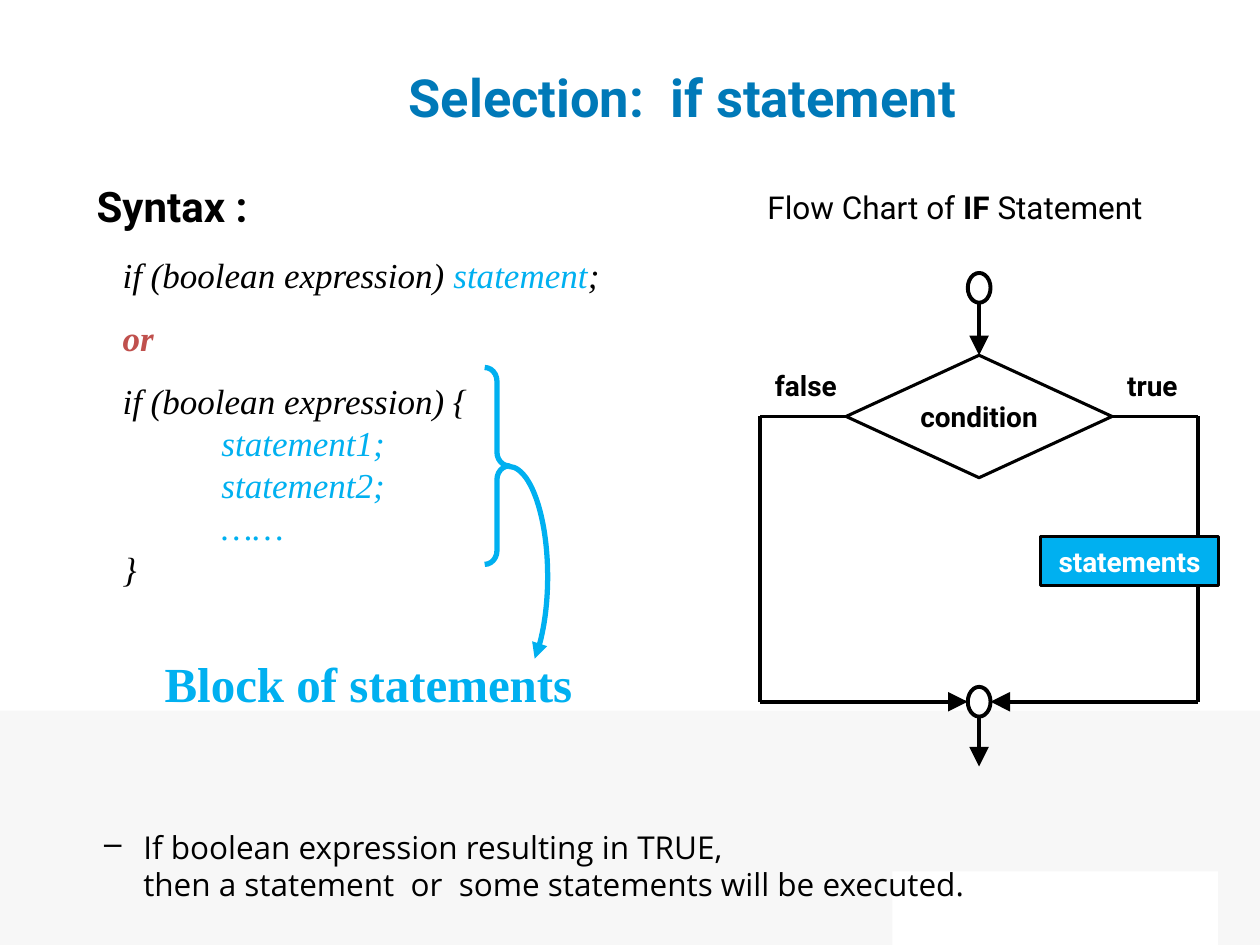
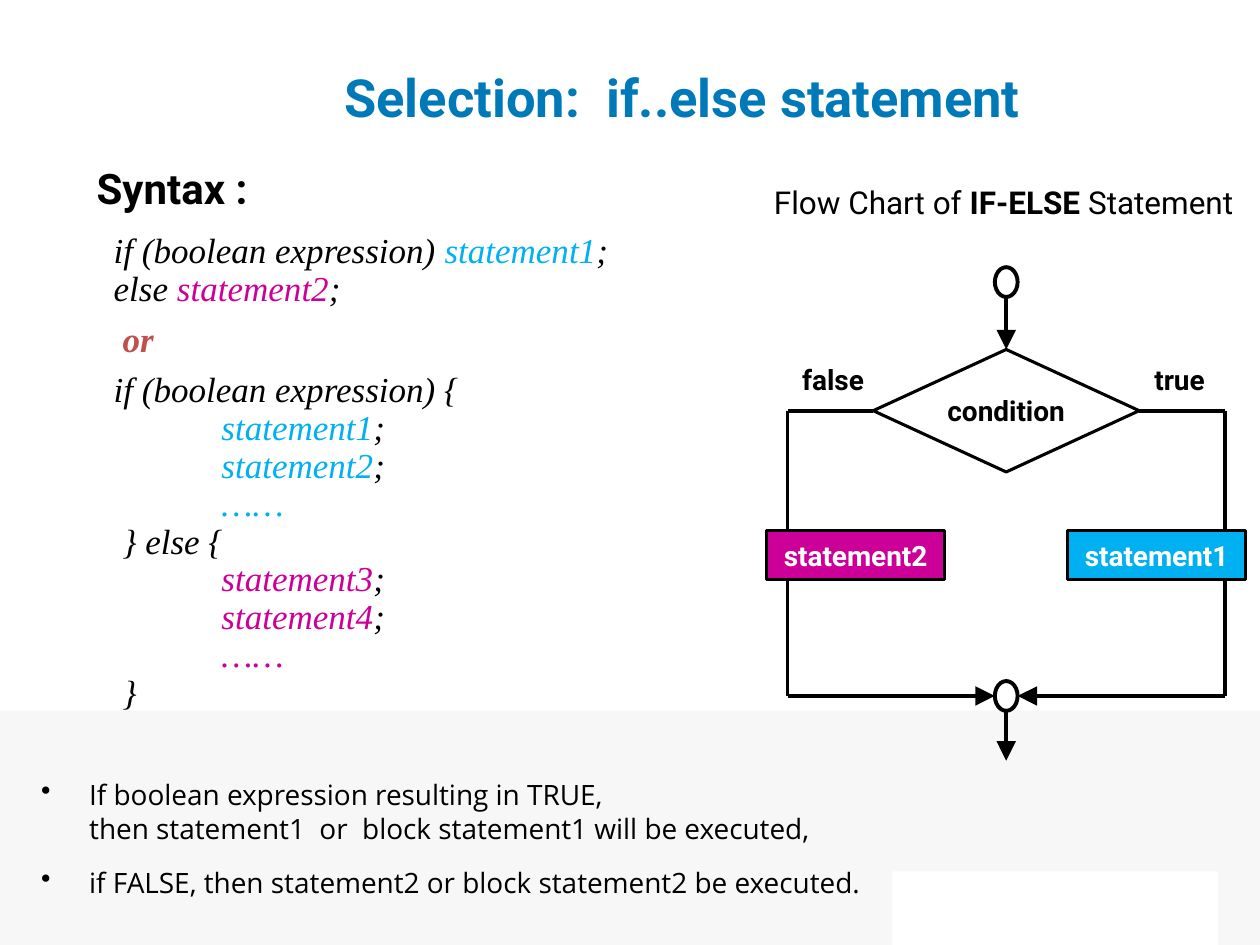
"""Builds two slides on the if and if..else statements."""
from dataclasses import dataclass

from lxml.etree import SubElement
from pptx import Presentation
from pptx.dml.color import RGBColor
from pptx.enum.shapes import MSO_CONNECTOR as Connector, MSO_SHAPE as Shape
from pptx.enum.text import MSO_ANCHOR as Anchor, PP_ALIGN as Align
from pptx.oxml.ns import qn
from pptx.util import Pt

BLACK, WHITE, TITLE_BLUE = "000000", "FFFFFF", "0079B8"
SKY, MAGENTA, RED, PALE_GREY = "00B0F0", "CC0099", "C0504D", "F7F7F7"
HEADING_FONT, CODE_FONT, NOTE_FONT = "Roboto", "Times New Roman", "Open Sans"
HEADING_MARGIN, FIRST_MARGIN, CODE_MARGIN, BLOCK_MARGIN = 31.7, 41.4, 46.5, 103


@dataclass(frozen=True)
class Span:
    text: str
    color: str = BLACK
    bold: bool = False


@dataclass(frozen=True)
class Line:
    spans: tuple[Span, ...]
    pitch: float
    before: float = 0
    margin: float = CODE_MARGIN
    font: str = CODE_FONT
    size: float = 20
    italic: bool = False
    indent: float = 0
    bullet: str = ""


@dataclass(frozen=True)
class Area:
    left: float
    top: float
    width: float
    height: float

    def lengths(self) -> tuple:
        return tuple(Pt(n) for n in (self.left, self.top, self.width, self.height))


@dataclass(frozen=True)
class Branch:
    label: str
    side: int
    statement: str = ""
    color: str = SKY


def rgb(color: str) -> RGBColor:
    return RGBColor.from_string(color)


def style_run(run, font: str, size: float, color: str, bold: bool = False, italic: bool = False) -> None:
    run.font.name, run.font.size = font, Pt(size)
    run.font.bold, run.font.italic = bold, italic
    run.font.color.rgb = rgb(color)


def add_spans(para, spans: tuple[Span, ...], font: str, size: float, italic: bool = False) -> None:
    for span in spans:
        for number, part in enumerate(span.text.split("\n")):
            if number:
                para.add_line_break()
            run = para.add_run()
            run.text = part
            style_run(run, font, size, span.color, span.bold, italic)


def add_text_box(slide, area: Area):
    box = slide.shapes.add_textbox(*area.lengths())
    box.text_frame.word_wrap = True
    return box.text_frame


def clear_insets(frame) -> None:
    frame.margin_left = frame.margin_right = frame.margin_top = frame.margin_bottom = 0


def add_preset(slide, kind, area: Area, fill: str = "", line: str = "", weight: float = 0):
    shape = slide.shapes.add_shape(kind, *area.lengths())
    shape.shadow.inherit = False
    if fill:
        shape.fill.solid()
        shape.fill.fore_color.rgb = rgb(fill)
    else:
        shape.fill.background()
    if line:
        shape.line.color.rgb = rgb(line)
        shape.line.width = Pt(weight)
    else:
        shape.line.fill.background()
    return shape


def add_arrowhead(shape, size: str) -> None:
    line = shape._element.spPr.find(qn("a:ln"))
    SubElement(line, qn("a:tailEnd"), type="triangle", w=size, len=size)


def add_path(slide, points: list[tuple[float, float]], arrow: bool = False) -> None:
    """Joins the points with straight lines, with an arrowhead on the last if asked."""
    for number, (start, end) in enumerate(zip(points, points[1:]), 2):
        link = slide.shapes.add_connector(Connector.STRAIGHT, *(Pt(n) for n in start + end))
        link.line.color.rgb = rgb(BLACK)
        link.line.width = Pt(2.25)
        if arrow and number == len(points):
            add_arrowhead(link, "lg")
        SubElement(link._element.spPr, qn("a:effectLst"))


def put_label(shape, text: str, color: str = BLACK) -> None:
    frame = shape.text_frame
    frame.text = text
    frame.word_wrap = False
    clear_insets(frame)
    frame.vertical_anchor = Anchor.MIDDLE
    frame.paragraphs[0].alignment = Align.CENTER
    style_run(frame.paragraphs[0].runs[0], HEADING_FONT, 16, color, True)


def add_lines(slide, area: Area, lines: list[Line]) -> None:
    frame = add_text_box(slide, area)
    for number, line in enumerate(lines):
        para = frame.add_paragraph() if number else frame.paragraphs[0]
        para.line_spacing = Pt(line.pitch)
        para.space_before = Pt(line.before)
        properties = para._p.get_or_add_pPr()
        properties.set("marL", str(Pt(line.margin)))
        properties.set("indent", str(Pt(line.indent)))
        if line.bullet:
            SubElement(properties, qn("a:buChar"), char=line.bullet)
        add_spans(para, line.spans, line.font, line.size, line.italic)


def heading(pitch: float) -> Line:
    return Line((Span("Syntax :", bold=True),), pitch, 0, HEADING_MARGIN, HEADING_FONT, 24)


def code(pitch: float, *spans: Span, before: float = 0, margin: float = CODE_MARGIN) -> Line:
    return Line(spans, pitch, before, margin, italic=True)


def block(pitch: float, color: str, end_color: str, *names: str) -> list[Line]:
    """Returns indented statements closed by dots."""
    lines = [code(pitch, Span(name, color), Span(";", end_color), margin=BLOCK_MARGIN) for name in names]
    return lines + [code(pitch, Span("……", color), margin=BLOCK_MARGIN)]


def note(text: str, size: float, pitch: float, before: float, margin: float, indent: float, bullet: str) -> Line:
    return Line((Span(text),), pitch, before, margin, NOTE_FONT, size, False, indent, bullet)


def add_base_slide(deck, title_text: str):
    slide = deck.slides.add_slide(deck.slide_layouts[5])
    add_preset(slide, Shape.RECTANGLE, Area(0, 406, 720, 134), PALE_GREY)
    add_preset(slide, Shape.RECTANGLE, Area(510, 498, 186, 42), WHITE)
    title = slide.shapes.title
    title.left, title.top, title.width, title.height = Area(60, 24, 660, 62.5).lengths()
    frame = title.text_frame
    frame.text = title_text
    frame.vertical_anchor = Anchor.MIDDLE
    frame.paragraphs[0].alignment = Align.CENTER
    style_run(frame.paragraphs[0].runs[0], HEADING_FONT, 30, TITLE_BLUE, True)
    return slide


def add_caption(slide, area: Area, keyword: str) -> None:
    frame = add_text_box(slide, area)
    frame.vertical_anchor = Anchor.MIDDLE
    para = frame.paragraphs[0]
    para.alignment = Align.CENTER
    para.line_spacing = 0.9
    spans = (Span("Flow Chart of "), Span(keyword + " ", bold=True), Span("Statement"))
    add_spans(para, spans, HEADING_FONT, 18)


def add_flow_chart(slide, center: float, top: float, branches: list[Branch]) -> None:
    """Draws the decision, its branches and the point where they meet."""
    middle, join = top + 82, top + 245
    add_path(slide, [(center, top + 17), (center, top + 47)], arrow=True)
    add_path(slide, [(center, join + 8.5), (center, join + 37)], arrow=True)
    for branch in branches:
        edge = center + branch.side * 125
        corners = [(center + branch.side * 76, middle), (edge, middle), (edge, join)]
        add_path(slide, corners + [(center + branch.side * 6.5, join)], arrow=True)
        label = slide.shapes.add_textbox(*Area(center + branch.side * 99 - 27, top + 54, 54, 20).lengths())
        put_label(label, branch.label)
        if branch.statement:
            area = Area(center + branch.side * 86 - 51, top + 150.5, 102, 28)
            box = add_preset(slide, Shape.RECTANGLE, area, branch.color, BLACK, 1.75)
            put_label(box, branch.statement, WHITE)
    for circle_top in (top, join - 8.5):
        add_preset(slide, Shape.OVAL, Area(center - 6.5, circle_top, 13, 17), line=BLACK, weight=2.25)
    diamond = add_preset(slide, Shape.DIAMOND, Area(center - 76, top + 47, 152, 70), WHITE, BLACK, 1.75)
    put_label(diamond, "condition")


def add_block_callout(slide) -> None:
    brace = add_preset(slide, Shape.RIGHT_BRACE, Area(277, 210, 14, 112.5), line=SKY, weight=3)
    brace.adjustments[0] = 0.56
    arc = add_preset(slide, Shape.ARC, Area(268.5, 266.5, 44.5, 126), line=SKY, weight=3)
    arc.adjustments[0], arc.adjustments[1] = 162, 43.45
    add_arrowhead(arc, "med")
    frame = add_text_box(slide, Area(87, 370, 248.5, 41))
    frame.text = "Block of statements"
    style_run(frame.paragraphs[0].runs[0], CODE_FONT, 28, SKY, True)


def build_if_slide(deck) -> None:
    slide = add_base_slide(deck, "Selection:  if statement")
    pitch = 24
    lines = [
        heading(29),
        code(pitch, Span("if (boolean expression) "), Span("statement", SKY), Span(";"), before=13),
        code(pitch, Span("or", RED, True), before=12),
        code(pitch, Span("if (boolean expression) {"), before=12),
        *block(pitch, SKY, SKY, "statement1", "statement2"),
        code(pitch, Span("}")),
        note("If boolean expression resulting in TRUE,\n"
             "then a statement  or  some statements will be executed.", 18, 21, 137, 58.3, -22.3, "–"),
    ]
    add_lines(slide, Area(16.5, 99.3, 703.5, 369), lines)
    add_block_callout(slide)
    add_caption(slide, Area(417.5, 105, 256.5, 29.5), "IF")
    add_flow_chart(slide, 559.5, 156, [Branch("false", -1), Branch("true", 1, "statements")])


def build_if_else_slide(deck) -> None:
    slide = add_base_slide(deck, "Selection:  if..else statement")
    pitch = 21.6
    lines = [
        heading(39),
        code(pitch, Span("if (boolean expression) "), Span("statement1", SKY), Span(";"),
             before=11, margin=FIRST_MARGIN),
        code(pitch, Span("else "), Span("statement2", MAGENTA), Span(";"), margin=FIRST_MARGIN),
        code(pitch, Span("or", RED, True), before=7.5),
        code(pitch, Span("if (boolean expression) {"), before=7.5, margin=FIRST_MARGIN),
        *block(pitch, SKY, BLACK, "statement1", "statement2"),
        code(pitch, Span("} else {")),
        *block(pitch, MAGENTA, BLACK, "statement3", "statement4"),
        code(pitch, Span("}")),
        note("If boolean expression resulting in TRUE,\n"
             "then statement1  or  block statement1 will be executed,", 16, 19.4, 37, 27.4, -27.4, "•"),
        note("if FALSE, then statement2 or block statement2 be executed.", 16, 19.4, 11.5, 27.4, -27.4, "•"),
    ]
    add_lines(slide, Area(16.5, 79.3, 703.5, 369), lines)
    add_caption(slide, Area(427, 102, 293, 29.5), "IF-ELSE")
    branches = [Branch("false", -1, "statement2", MAGENTA), Branch("true", 1, "statement1")]
    add_flow_chart(slide, 575, 152.7, branches)


def main() -> None:
    deck = Presentation()
    deck.slide_width, deck.slide_height = Pt(720), Pt(540)
    build_if_slide(deck)
    build_if_else_slide(deck)
    deck.save("out.pptx")


if __name__ == "__main__":
    main()
